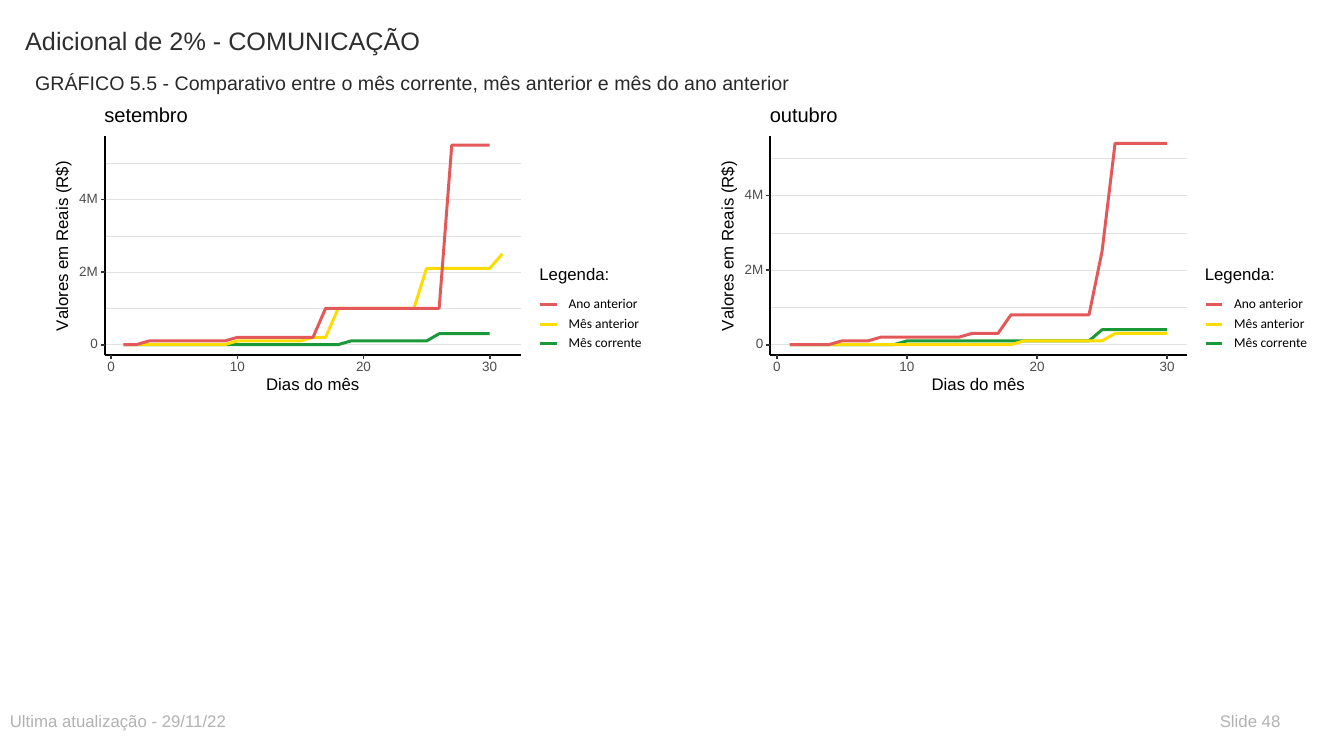
from dataclasses import dataclass

from lxml import etree
from pptx import Presentation
from pptx.chart.data import CategoryChartData
from pptx.dml.color import RGBColor
from pptx.enum.chart import XL_AXIS_CROSSES, XL_CHART_TYPE, XL_TICK_LABEL_POSITION, XL_TICK_MARK
from pptx.enum.shapes import MSO_CONNECTOR
from pptx.enum.text import MSO_ANCHOR, MSO_AUTO_SIZE, PP_ALIGN
from pptx.oxml.ns import qn
from pptx.util import Inches, Pt

LINE_CHART = XL_CHART_TYPE.LINE
AT_MINIMUM = XL_AXIS_CROSSES.MINIMUM
NO_LABELS, NO_TICKS = XL_TICK_LABEL_POSITION.NONE, XL_TICK_MARK.NONE
STRAIGHT = MSO_CONNECTOR.STRAIGHT
TOP, MIDDLE = MSO_ANCHOR.TOP, MSO_ANCHOR.MIDDLE
LEFT, CENTER, RIGHT = PP_ALIGN.LEFT, PP_ALIGN.CENTER, PP_ALIGN.RIGHT
NO_AUTOSIZE = MSO_AUTO_SIZE.NONE

BLACK = RGBColor(0x00, 0x00, 0x00)
TITLE_GRAY = RGBColor(0x2D, 0x2E, 0x2D)
SUBTITLE_GRAY = RGBColor(0x29, 0x29, 0x29)
FOOTER_GRAY = RGBColor(0xB2, 0xB2, 0xB2)
LABEL_GRAY = RGBColor(0x4D, 0x4D, 0x4D)
TICK_GRAY = RGBColor(0x33, 0x33, 0x33)
GRID_GRAY = RGBColor(0xE3, 0xE2, 0xE1)
RED = RGBColor(0xE3, 0x59, 0x59)
YELLOW = RGBColor(0xFF, 0xDC, 0x00)
GREEN = RGBColor(0x1A, 0x99, 0x38)

CHART_TOP, CHART_WIDTH, CHART_HEIGHT = 0.9, 6.1, 3.1
PLOT_OFFSET, PLOT_TOP, PLOT_WIDTH, PLOT_HEIGHT = 0.64, 1.35, 4.13, 2.17
PLOT_BOTTOM = PLOT_TOP + PLOT_HEIGHT
ZERO_LINE, TICK = 3.42, 0.04
SERIES_COLORS = {"Mês corrente": GREEN, "Mês anterior": YELLOW, "Ano anterior": RED}


@dataclass
class Label:
    text: str
    left: float
    top: float
    width: float
    height: float
    size: float
    color: RGBColor
    font: str = "Arial"
    inset: float = 0.1
    alignment: PP_ALIGN = LEFT


@dataclass
class Month:
    name: str
    left: float
    last_day: int
    inches_per_million: float
    series: dict[str, list[float]]


TITLE = Label("Adicional de 2% - COMUNICAÇÃO", 0.15, 0.2, 8, 0.59, 18, TITLE_GRAY)
LABELS = [
    Label("GRÁFICO 5.5 - Comparativo entre o mês corrente, mês anterior e mês do ano anterior",
          0.25, 0.65, 8, 0.3, 14, SUBTITLE_GRAY),
    Label("Ultima atualização - 29/11/22", 0, 7, 6.5, 0.3, 12, FOOTER_GRAY),
    Label("Slide 48", 12, 7, 0.9, 0.3, 12, FOOTER_GRAY),
]

SEPTEMBER_2022 = [0] * 18 + [0.1] * 7 + [0.3] * 5
MONTHS = [
    Month("setembro", 0.4, 32, 0.36, {
        "Mês corrente": SEPTEMBER_2022,
        "Mês anterior": [0] * 9 + [0.1] * 6 + [0.2] * 2 + [1] * 7 + [2.1] * 6 + [2.5],
        "Ano anterior": [0] * 2 + [0.1] * 7 + [0.2] * 7 + [1] * 10 + [5.5] * 4,
    }),
    Month("outubro", 7, 31, 0.37, {
        "Mês corrente": [0] * 9 + [0.1] * 15 + [0.4] * 6,
        "Mês anterior": SEPTEMBER_2022,
        "Ano anterior": [0] * 4 + [0.1] * 3 + [0.2] * 7 + [0.3] * 3 + [0.8] * 7
        + [2.5] + [5.4] * 5,
    }),
]


def write_label(shape, label: Label) -> None:
    shape.left, shape.top = Inches(label.left), Inches(label.top)
    shape.width, shape.height = Inches(label.width), Inches(label.height)
    frame = shape.text_frame
    frame.auto_size = NO_AUTOSIZE
    frame.word_wrap = True
    frame.vertical_anchor = TOP if label.inset else MIDDLE
    frame.margin_left = frame.margin_right = Inches(label.inset)
    frame.margin_top = frame.margin_bottom = Inches(label.inset / 2)
    paragraph = frame.paragraphs[0]
    paragraph.alignment = label.alignment
    if not label.inset:
        paragraph.line_spacing = Pt(label.size)
    add_run(paragraph, label.text, label.size, label.color, label.font)


def add_run(paragraph, text: str, size: float, color: RGBColor, font: str = "Arial") -> None:
    run = paragraph.add_run()
    run.text = text
    run.font.name, run.font.size, run.font.bold = font, Pt(size), False
    run.font.color.rgb = color


def add_label(slide, label: Label) -> None:
    write_label(slide.shapes.add_textbox(0, 0, 0, 0), label)


def add_line(slide, start: tuple[float, float], end: tuple[float, float],
             color: RGBColor, width: float) -> None:
    points = [Inches(value) for value in (*start, *end)]
    line = slide.shapes.add_connector(STRAIGHT, *points)
    line.line.color.rgb, line.line.width = color, Pt(width)
    etree.SubElement(line._element.spPr, qn("a:effectLst"))


def place(element, index: int, settings: dict[str, object]) -> None:
    layout = element.find(qn("c:layout"))
    if layout is None:
        layout = etree.Element(qn("c:layout"))
        element.insert(index, layout)
    manual = etree.SubElement(layout, qn("c:manualLayout"))
    for name, value in settings.items():
        etree.SubElement(manual, qn(f"c:{name}")).set("val", str(value))


def edge_position(left: float, top: float) -> dict[str, object]:
    return {"xMode": "edge", "yMode": "edge",
            "x": left / CHART_WIDTH, "y": (top - CHART_TOP) / CHART_HEIGHT}


def write_title(title, text: str, size: float, left: float, top: float) -> None:
    add_run(title.text_frame.paragraphs[0], text, size, BLACK)
    place(title._element, 1, edge_position(left, top))


def add_gridlines(slide, month: Month) -> None:
    left = month.left + PLOT_OFFSET
    for million in range(6):
        y = ZERO_LINE - million * month.inches_per_million
        add_line(slide, (left, y), (left + PLOT_WIDTH, y), GRID_GRAY, 0.43)


def add_month_chart(slide, month: Month) -> None:
    data = CategoryChartData()
    data.categories = [str(day) for day in range(month.last_day + 1)]
    for name, values in month.series.items():
        missing = [None] * (month.last_day - len(values))
        data.add_series(name, [None, *values, *missing])
    chart = slide.shapes.add_chart(
        LINE_CHART, Inches(month.left), Inches(CHART_TOP),
        Inches(CHART_WIDTH), Inches(CHART_HEIGHT), data).chart
    chart.has_legend = False
    chart.font.name, chart.font.size = "Arial", Pt(9.6)
    plot = chart.plots[0]
    plot.vary_by_categories = False
    for series in plot.series:
        series.smooth = False
        series.format.line.color.rgb = SERIES_COLORS[series.name]
        series.format.line.width = Pt(2.13)

    days, reais = chart.category_axis, chart.value_axis
    for axis in (days, reais):
        axis.crosses = AT_MINIMUM
        axis.major_tick_mark = axis.minor_tick_mark = NO_TICKS
        axis.tick_label_position = NO_LABELS
        axis.has_major_gridlines = False
        axis.format.line.color.rgb = BLACK
        axis.format.line.width = Pt(1.16)
    reais.minimum_scale = (ZERO_LINE - PLOT_BOTTOM) / month.inches_per_million
    reais.maximum_scale = (ZERO_LINE - PLOT_TOP) / month.inches_per_million
    for between in reais._element.findall(qn("c:crossBetween")):
        reais._element.remove(between)
    crosses = reais._element.find(qn("c:crosses"))
    between = etree.Element(qn("c:crossBetween"), val="between")
    crosses.addnext(between)

    write_title(chart.chart_title, month.name, 14.4, 0.6, 0.98)
    write_title(days.axis_title, "Dias do mês", 12, 2.21, 3.68)
    write_title(reais.axis_title, "Valores em Reais (R$)", 12, 0.08, 1.57)
    reais.axis_title.text_frame._txBody.bodyPr.set("rot", "-5400000")
    space = chart._chartSpace
    place(space.chart.plotArea, 0, {
        "layoutTarget": "inner", **edge_position(PLOT_OFFSET, PLOT_TOP),
        "w": PLOT_WIDTH / CHART_WIDTH, "h": PLOT_HEIGHT / CHART_HEIGHT})
    properties = etree.Element(qn("c:spPr"))
    etree.SubElement(properties, qn("a:noFill"))
    space.chart.addnext(properties)


def add_scales(slide, month: Month) -> None:
    left = month.left + PLOT_OFFSET
    for million, text in ((0, "0"), (2, "2M"), (4, "4M")):
        y = ZERO_LINE - million * month.inches_per_million
        add_line(slide, (left - TICK, y), (left, y), TICK_GRAY, 1.16)
        add_label(slide, Label(text, left - 0.37, y - 0.05, 0.3, 0.1, 9.6, LABEL_GRAY,
                               inset=0, alignment=RIGHT))
    for day in range(0, 31, 10):
        x = left + (day + 0.5) * PLOT_WIDTH / (month.last_day + 1)
        add_line(slide, (x, PLOT_BOTTOM + TICK), (x, PLOT_BOTTOM), TICK_GRAY, 1.16)
        add_label(slide, Label(str(day), x - 0.15, 3.6, 0.3, 0.1, 9.6, LABEL_GRAY,
                               inset=0, alignment=CENTER))


def add_legend(slide, left: float) -> None:
    add_label(slide, Label("Legenda:", left + 4.95, 2.66, 0.8, 0.15, 12, BLACK, inset=0))
    for row, (name, color) in enumerate(reversed(SERIES_COLORS.items())):
        y = 3.02 + row * 0.195
        add_line(slide, (left + 4.96, y), (left + 5.12, y), color, 2.13)
        add_label(slide, Label(name, left + 5.24, y - 0.05, 0.8, 0.1, 9.6, BLACK,
                               "Calibri", 0))


def main() -> None:
    presentation = Presentation()
    presentation.slide_width, presentation.slide_height = Inches(13.33), Inches(7.5)
    slide = presentation.slides.add_slide(presentation.slide_layouts[5])
    write_label(slide.shapes.title, TITLE)
    for label in LABELS:
        add_label(slide, label)
    for month in MONTHS:
        add_gridlines(slide, month)
        add_month_chart(slide, month)
        add_scales(slide, month)
        add_legend(slide, month.left)
    presentation.save("out.pptx")


if __name__ == "__main__":
    main()
